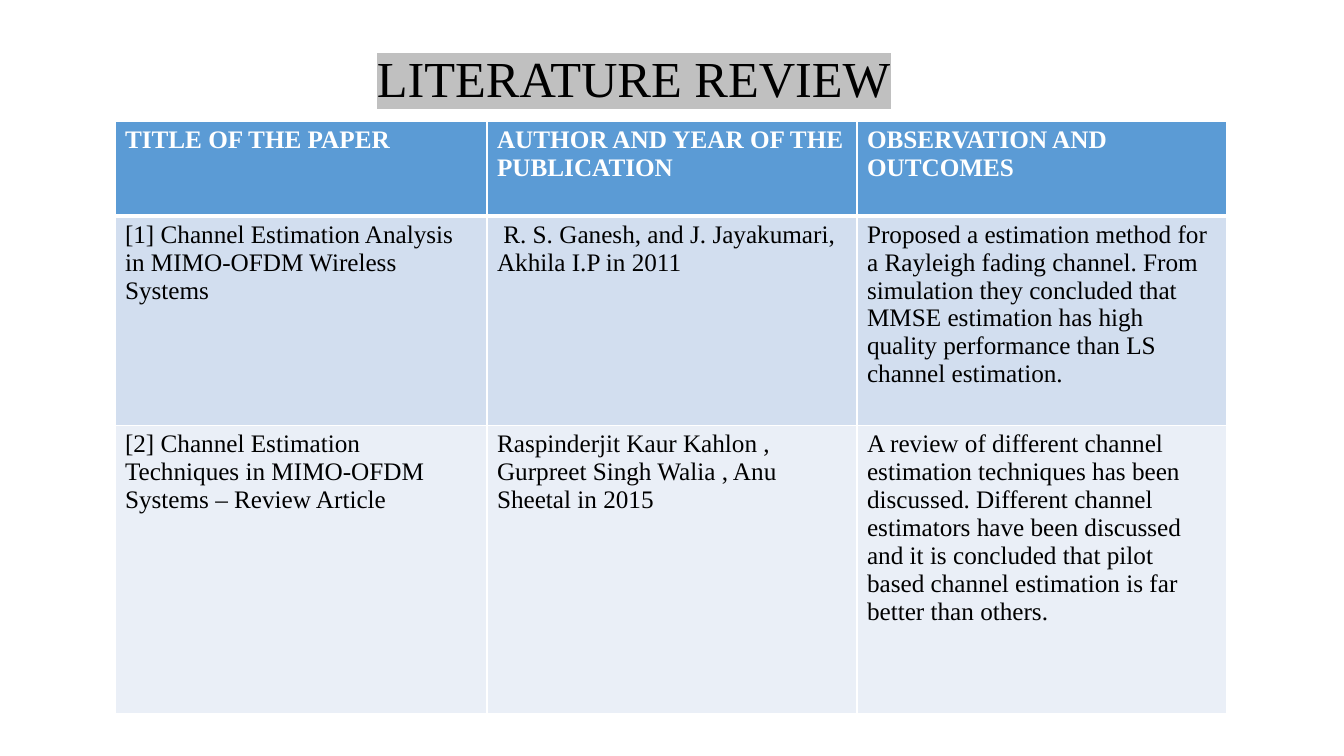
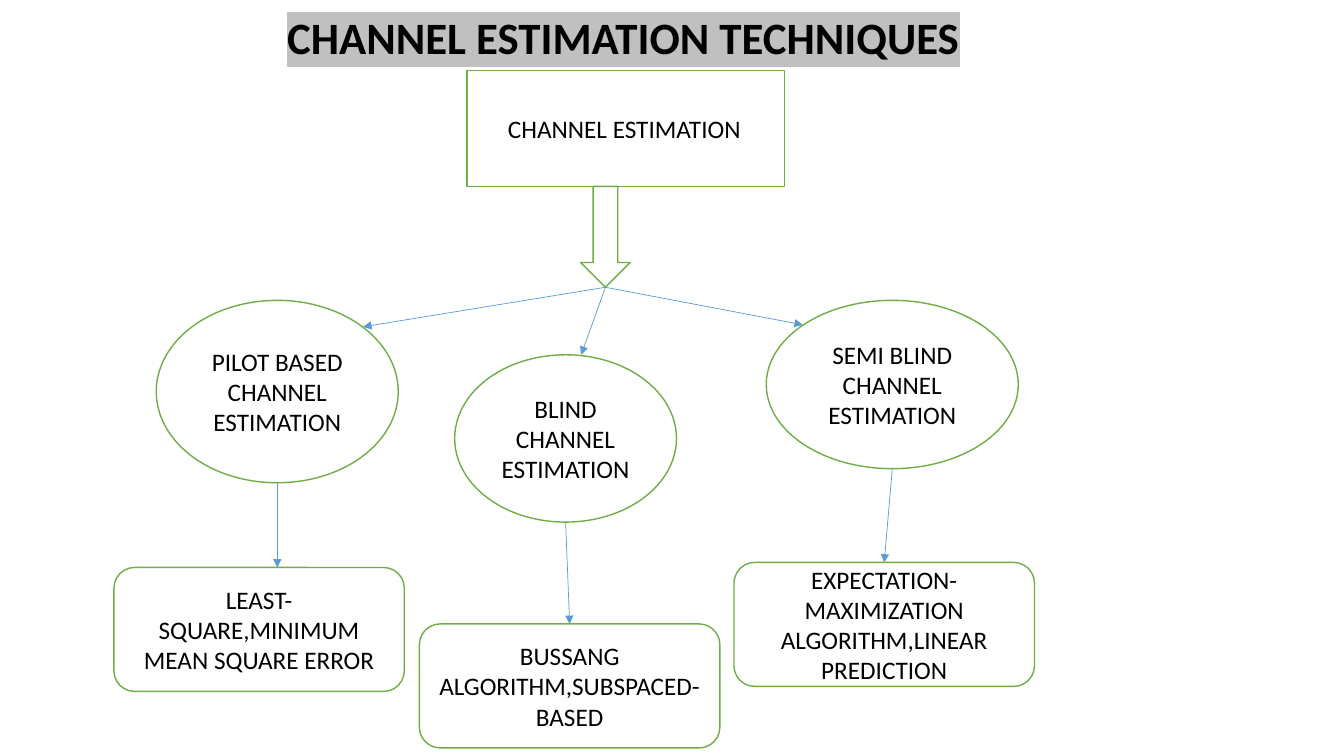
from lxml.etree import SubElement
from pptx import Presentation
from pptx.dml.color import RGBColor
from pptx.enum.shapes import MSO_CONNECTOR, MSO_SHAPE
from pptx.enum.text import MSO_ANCHOR, PP_ALIGN
from pptx.oxml import parse_xml
from pptx.oxml.ns import nsdecls, qn
from pptx.util import Inches, Pt

BLACK, WHITE, GREY = "000000", "FFFFFF", "C0C0C0"
BLUE, GREEN = "5B9BD5", "70AD47"
ROW_FILLS = [BLUE, "D2DEEF", "EAEFF7"]
RULE_WIDTHS = [1, 3, 1, 1]  # above the header, below it, between rows, at the foot
SERIF, SANS = "Times New Roman", "Calibri"

REVIEW_ROWS = [
    ["TITLE OF THE PAPER", "AUTHOR AND YEAR OF THE PUBLICATION", "OBSERVATION AND OUTCOMES"],
    ["[1] Channel Estimation Analysis in MIMO-OFDM Wireless Systems",
     " R. S. Ganesh, and J. Jayakumari, Akhila I.P in 2011",
     "Proposed a estimation method for a Rayleigh fading channel. From simulation they "
     "concluded that MMSE estimation has high quality performance than LS channel estimation."],
    ["[2] Channel Estimation Techniques in MIMO-OFDM Systems – Review Article",
     "Raspinderjit Kaur Kahlon , Gurpreet Singh Walia , Anu Sheetal in 2015",
     "A review of different channel estimation techniques has been discussed. Different channel "
     "estimators have been discussed and it is concluded that pilot based channel estimation is "
     "far better than others."],
]

# Each branch: technique, its ellipse, where the arrow meets it
# (in radii from its centre), methods, their box
BRANCHES = [
    ("PILOT BASED CHANNEL ESTIMATION", (1.55, 2.98, 2.4, 1.81), (0.71, -0.71),
     "LEAST- SQUARE,MINIMUM MEAN SQUARE ERROR", (1.13, 5.63, 2.88, 1.23)),
    ("BLIND CHANNEL ESTIMATION", (4.51, 3.52, 2.2, 1.66), (0.14, -1),
     "BUSSANG ALGORITHM,SUBSPACED- BASED", (4.16, 6.19, 2.98, 1.23)),
    ("SEMI BLIND CHANNEL ESTIMATION", (7.6, 2.98, 2.5, 1.67), (-0.71, -0.71),
     "EXPECTATION- MAXIMIZATION ALGORITHM,LINEAR PREDICTION", (7.28, 5.58, 2.98, 1.23)),
]


def color(value):
    """Turn a hex string into a colour."""
    return RGBColor.from_string(value)


def write(text_frame, text, font_name, size=18, text_color=BLACK, bold=False,
          alignment=PP_ALIGN.LEFT):
    """Set the text of a frame and format its paragraphs and runs."""
    text_frame.text = text
    text_frame.word_wrap = True
    for paragraph in text_frame.paragraphs:
        paragraph.alignment = alignment
        for run in paragraph.runs:
            run.font.name = font_name
            run.font.size = Pt(size)
            run.font.bold = bold
            run.font.color.rgb = color(text_color)


def add_label(slide, box, text, font_name, **style):
    """Add a text box and return it."""
    label = slide.shapes.add_textbox(*map(Inches, box))
    write(label.text_frame, text, font_name, **style)
    return label


def add_title(slide, box, text, font_name, **style):
    """Add a title highlighted in grey."""
    title = add_label(slide, box, text, font_name, **style)
    run = title.text_frame.paragraphs[0].runs[0]
    highlight = parse_xml(f'<a:highlight {nsdecls("a")}><a:srgbClr val="{GREY}"/></a:highlight>')
    run.font._element.find(qn("a:solidFill")).addnext(highlight)


def add_borders(cell, top_width, bottom_width):
    """Draw white lines around a table cell."""
    properties = cell._tc.get_or_add_tcPr()
    widths = {"L": 1, "R": 1, "T": top_width, "B": bottom_width}
    for position, (side, width) in enumerate(widths.items()):
        properties.insert(position, parse_xml(
            f'<a:ln{side} {nsdecls("a")} w="{Pt(width)}"><a:solidFill>'
            f'<a:srgbClr val="{WHITE}"/></a:solidFill></a:ln{side}>'))


def add_review_table(slide, box, rows, column_widths, row_heights):
    """Add a table with a blue header and tinted rows."""
    table = slide.shapes.add_table(len(rows), len(column_widths), *map(Inches, box)).table
    for column, width in zip(table.columns, column_widths):
        column.width = Inches(width)
    for index, (row, height) in enumerate(zip(table.rows, row_heights)):
        row.height = Inches(height)
        header = index == 0
        for cell, text in zip(row.cells, rows[index]):
            write(cell.text_frame, text, SERIF, text_color=WHITE if header else BLACK, bold=header)
            cell.fill.solid()
            cell.fill.fore_color.rgb = color(ROW_FILLS[index])
            add_borders(cell, *RULE_WIDTHS[index:index + 2])


def add_node(slide, kind, box, text=""):
    """Add a white shape with a green outline and centred text."""
    node = slide.shapes.add_shape(kind, *map(Inches, box))
    node.shadow.inherit = False
    node.fill.solid()
    node.fill.fore_color.rgb = color(WHITE)
    node.line.color.rgb = color(GREEN)
    node.line.width = Pt(1)
    if text:
        write(node.text_frame, text, SANS, alignment=PP_ALIGN.CENTER)
        node.text_frame.vertical_anchor = MSO_ANCHOR.MIDDLE


def add_arrow(slide, start, end):
    """Add a thin blue arrow between two points."""
    arrow = slide.shapes.add_connector(MSO_CONNECTOR.STRAIGHT, *map(Inches, (*start, *end)))
    arrow.line.color.rgb = color(BLUE)
    arrow.line.width = Pt(0.5)
    SubElement(arrow.line._get_or_add_ln(), qn("a:tailEnd"), type="triangle")
    SubElement(arrow._element.spPr, qn("a:effectLst"))


def box_point(box, across, down):
    """Return the point given in half sizes from the centre of a box."""
    left, top, width, height = box
    return left + width / 2 * (1 + across), top + height / 2 * (1 + down)


def add_branch(slide, source, technique, ellipse, contact, methods, methods_box):
    """Add a technique, its methods and the arrows that lead to them."""
    add_arrow(slide, source, box_point(ellipse, *contact))
    add_node(slide, MSO_SHAPE.OVAL, ellipse, technique)
    foot = box_point(ellipse, 0, 1)
    middle, top = box_point(methods_box, 0, -1)
    nearly_below = abs(middle - foot[0]) < 0.1
    add_arrow(slide, foot, (middle if nearly_below else foot[0], top))
    add_node(slide, MSO_SHAPE.ROUNDED_RECTANGLE, methods_box, methods)


def build_review_slide(slide):
    """Build the literature review."""
    add_review_table(slide, (1.14, 1.2, 11.03, 5.88), REVIEW_ROWS,
                     [3.69, 3.67, 3.67], [0.94, 2.08, 2.86])
    add_title(slide, (3.64, 0.42, 6.67, 0.71), "LITERATURE REVIEW", SERIF, size=36)


def build_techniques_slide(slide):
    """Build the tree of estimation techniques."""
    down_arrow = (5.76, 1.85, 0.49, 1)
    add_node(slide, MSO_SHAPE.RECTANGLE, (4.63, 0.7, 3.15, 1.15))
    add_label(slide, (4.94, 1.08, 6.67, 0.4), "CHANNEL ESTIMATION", SANS)
    add_node(slide, MSO_SHAPE.DOWN_ARROW, down_arrow)
    for branch in BRANCHES:
        add_branch(slide, box_point(down_arrow, 0, 1), *branch)
    add_title(slide, (2.75, 0.05, 9.29, 1.18), "CHANNEL ESTIMATION TECHNIQUES", SANS,
              size=32, bold=True)


presentation = Presentation()
presentation.slide_width = Inches(13.33)
presentation.slide_height = Inches(7.5)
for build in (build_review_slide, build_techniques_slide):
    build(presentation.slides.add_slide(presentation.slide_layouts[6]))
presentation.save("out.pptx")
